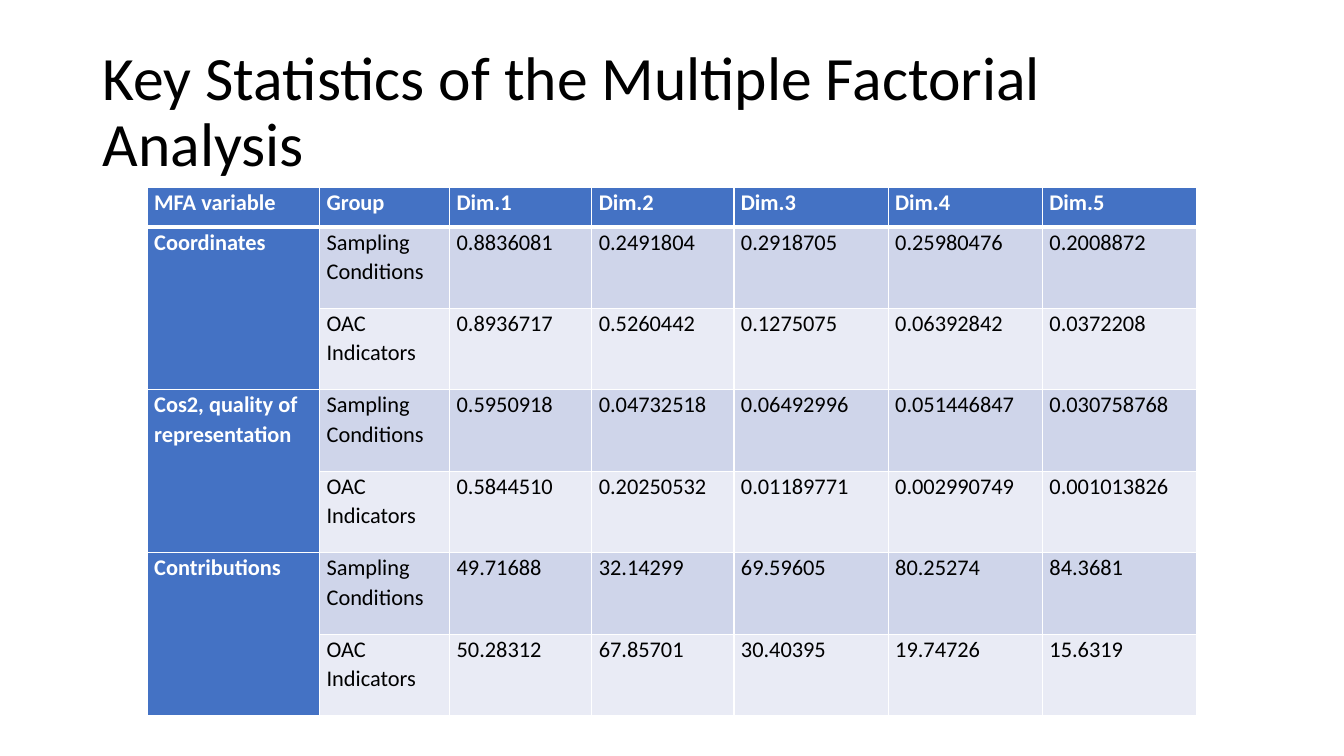
import pptx
import pptx.dml.color
import pptx.enum.text
import pptx.oxml.ns
import pptx.util
from lxml import etree

PX = pptx.util.Inches(1) // 100
FONT = "Calibri"
BLACK = pptx.dml.color.RGBColor(0x00, 0x00, 0x00)
WHITE = pptx.dml.color.RGBColor(0xFF, 0xFF, 0xFF)
BLUE = pptx.dml.color.RGBColor(0x44, 0x72, 0xC4)
BAND_DARK = pptx.dml.color.RGBColor(0xCF, 0xD5, 0xEA)
BAND_LIGHT = pptx.dml.color.RGBColor(0xE9, 0xEB, 0xF5)

HEADINGS = ["MFA variable", "Group", "Dim.1", "Dim.2", "Dim.3", "Dim.4", "Dim.5"]
GROUPS = ["Sampling Conditions", "OAC Indicators"]
STATISTICS = {
    "Coordinates": [
        ["0.8836081", "0.2491804", "0.2918705", "0.25980476", "0.2008872"],
        ["0.8936717", "0.5260442", "0.1275075", "0.06392842", "0.0372208"],
    ],
    "Cos2, quality of representation": [
        ["0.5950918", "0.04732518", "0.06492996", "0.051446847", "0.030758768"],
        ["0.5844510", "0.20250532", "0.01189771", "0.002990749", "0.001013826"],
    ],
    "Contributions": [
        ["49.71688", "32.14299", "69.59605", "80.25274", "84.3681"],
        ["50.28312", "67.85701", "30.40395", "19.74726", "15.6319"],
    ],
}
COLUMN_WIDTHS = [171, 129, 141, 141, 153, 153, 153]
HEADING_HEIGHT = 39


def write(paragraph, text, size, color, spacing, bold=False):
    """Add one formatted run to a paragraph."""
    paragraph.line_spacing = spacing
    run = paragraph.add_run()
    run.text = text
    run.font.name = FONT
    run.font.size = pptx.util.Pt(size)
    run.font.bold = bold
    run.font.color.rgb = color


def add_title(slide, text, left, top, width, height):
    """Place the slide title in the given box."""
    title = slide.shapes.add_textbox(left * PX, top * PX, width * PX, height * PX)
    title.text_frame.word_wrap = True
    title.text_frame.vertical_anchor = pptx.enum.text.MSO_ANCHOR.MIDDLE
    write(title.text_frame.paragraphs[0], text, 44, BLACK, 0.9)


def add_borders(cell, top, bottom):
    """Draw white cell borders, with top and bottom widths in points."""
    properties = cell._tc.get_or_add_tcPr()
    for side, points in (("lnL", 1), ("lnR", 1), ("lnT", top), ("lnB", bottom)):
        line = etree.SubElement(
            properties, pptx.oxml.ns.qn(f"a:{side}"), w=str(pptx.util.Pt(points))
        )
        fill = etree.SubElement(line, pptx.oxml.ns.qn("a:solidFill"))
        etree.SubElement(fill, pptx.oxml.ns.qn("a:srgbClr"), val=str(WHITE))


def style_cell(cell, row, column):
    """Give a cell its margins, borders and fill."""
    cell.margin_left = cell.margin_right = 7 * PX
    cell.margin_top = cell.margin_bottom = 0
    add_borders(cell, top=3 if row == 1 else 1, bottom=3 if row == 0 else 1)
    cell.fill.solid()
    if row == 0 or column == 0:
        cell.fill.fore_color.rgb = BLUE
    else:
        cell.fill.fore_color.rgb = BAND_DARK if row % 2 else BAND_LIGHT


def add_statistics(slide, left, top, width, height):
    """Fill the given box with the table of statistics by variable and group."""
    rows = [HEADINGS]
    for variable, dimensions in STATISTICS.items():
        for index, values in enumerate(dimensions):
            rows.append(["" if index else variable, GROUPS[index], *values])

    table = slide.shapes.add_table(
        len(rows), len(HEADINGS), left * PX, top * PX, width * PX, height * PX
    ).table
    table.first_col = True
    for column, column_width in zip(table.columns, COLUMN_WIDTHS):
        column.width = column_width * PX * width // sum(COLUMN_WIDTHS)
    body_height = (height - HEADING_HEIGHT) * PX // (len(rows) - 1)
    for r, texts in enumerate(rows):
        table.rows[r].height = body_height if r else HEADING_HEIGHT * PX
        for c, text in enumerate(texts):
            cell = table.cell(r, c)
            style_cell(cell, r, c)
            if text:
                heading = r == 0 or c == 0
                color = WHITE if heading else BLACK
                write(cell.text_frame.paragraphs[0], text, 16, color, 1.07, heading)
    for r in range(1, len(rows), len(GROUPS)):
        table.cell(r, 0).merge(table.cell(r + len(GROUPS) - 1, 0))


def main():
    """Build the slide and save it."""
    presentation = pptx.Presentation()
    presentation.slide_width = 1333 * PX
    presentation.slide_height = 750 * PX
    slide = presentation.slides.add_slide(presentation.slide_layouts[6])
    add_title(
        slide, "Key Statistics of the Multiple Factorial Analysis", 92, 40, 1150, 145
    )
    add_statistics(slide, 146, 186, 1041, 524)
    presentation.save("out.pptx")


if __name__ == "__main__":
    main()
